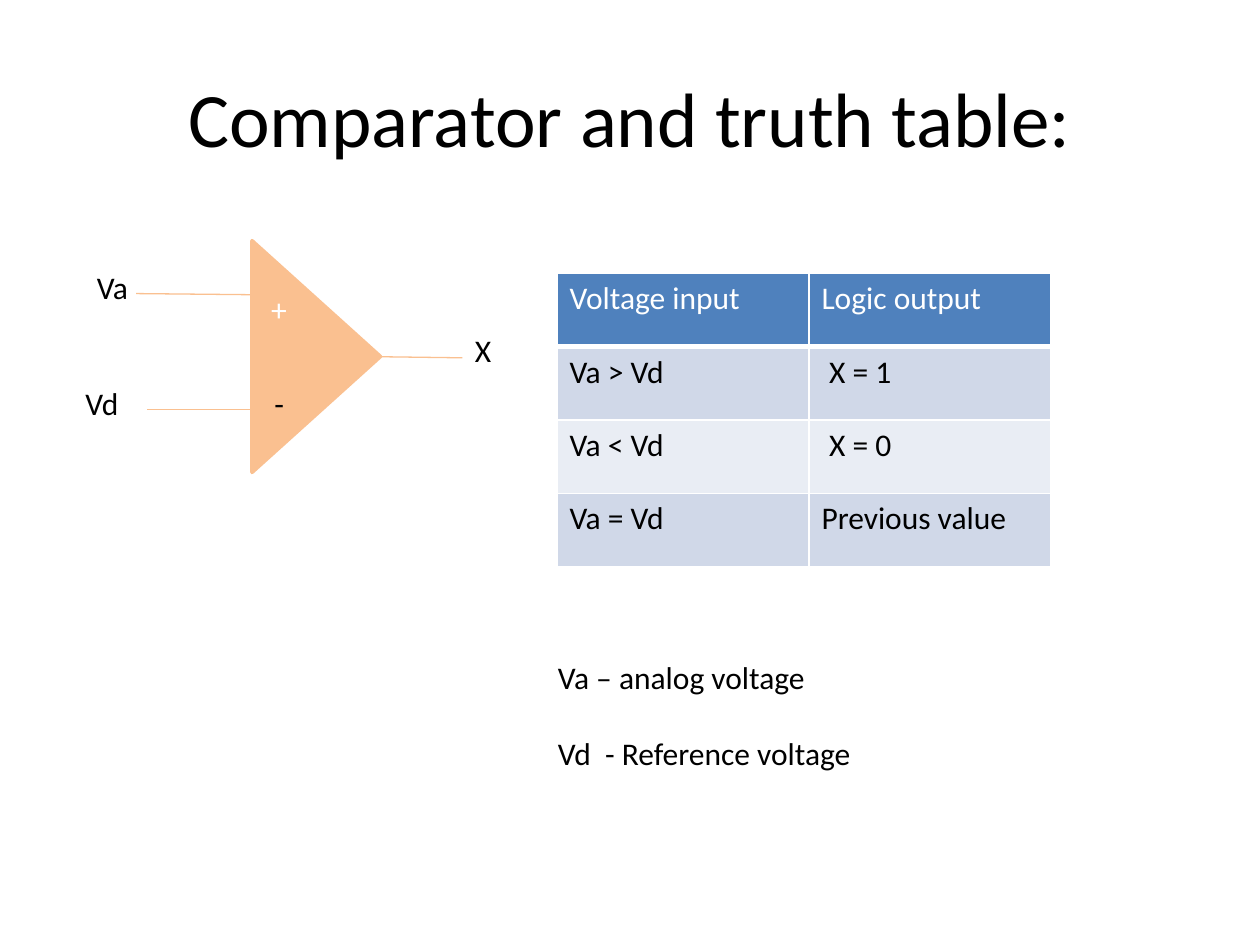
from dataclasses import dataclass

from pptx import Presentation
from pptx.dml.color import RGBColor
from pptx.enum import shapes, text
from pptx.oxml import parse_xml
from pptx.oxml.ns import nsdecls
from pptx.util import Inches, Pt

BLACK = RGBColor(0x00, 0x00, 0x00)
WHITE = RGBColor(0xFF, 0xFF, 0xFF)
PEACH = RGBColor(0xFA, 0xC0, 0x90)
HEADER_BLUE = RGBColor(0x4F, 0x81, 0xBD)
BAND_DARK = RGBColor(0xD0, 0xD8, 0xE8)
BAND_LIGHT = RGBColor(0xE9, 0xED, 0xF4)

BODY_FONT = {"name": "Calibri", "size": Pt(18), "bold": False}
TITLE_FONT = {**BODY_FONT, "size": Pt(44)}


@dataclass
class Label:
    lines: list[str]
    left: float
    top: float
    width: float
    height: float = 0.4
    color: RGBColor = BLACK


@dataclass
class Wire:
    start: tuple[float, float]
    end: tuple[float, float]


LABELS = [
    Label(["Va – analog voltage", "Vd  - Reference voltage"], 4.33, 5.17, 3.25, 0.97),
    Label(["Va"], 0.67, 2.08, 0.5, 0.68),
    Label(["Vd"], 0.58, 3, 0.58),
    Label(["+"], 2.08, 2.25, 0.17, color=WHITE),
    Label(["-"], 2.08, 3, 0.33),
    Label(["X"], 3.67, 2.58, 0.42),
]
WIRES = [
    Wire((1.08, 2.33), (2.08, 2.34)),
    Wire((1.17, 3.25), (2.08, 3.25)),
    Wire((2.92, 2.83), (3.67, 2.84)),
]
TRUTH_TABLE = [
    ("Voltage input", "Logic output"),
    ("Va > Vd", "X = 1"),
    ("Va < Vd", "X = 0"),
    ("Va = Vd", "Previous value"),
]


def format_font(paragraph, settings: dict, color: RGBColor) -> None:
    for key, value in settings.items():
        setattr(paragraph.font, key, value)
    paragraph.font.color.rgb = color


def draw_wire(slide, wire: Wire) -> None:
    points = [Inches(value) for value in wire.start + wire.end]
    connector = slide.shapes.add_connector(shapes.MSO_CONNECTOR.STRAIGHT, *points)
    connector.line.color.rgb = PEACH
    connector.line.width = Pt(0.75)
    connector._element.spPr.append(parse_xml(f"<a:effectLst {nsdecls('a')}/>"))


def draw_label(slide, label: Label) -> None:
    area = (label.left, label.top, label.width, label.height)
    frame = slide.shapes.add_textbox(*map(Inches, area)).text_frame
    frame.word_wrap = True
    frame.auto_size = text.MSO_AUTO_SIZE.SHAPE_TO_FIT_TEXT
    frame.text = "\n".join(label.lines)
    for index, paragraph in enumerate(frame.paragraphs):
        format_font(paragraph, BODY_FONT, label.color)
        if index:
            paragraph.space_before = Pt(22)


def border_cell(cell, bottom: float) -> None:
    properties = cell._tc.get_or_add_tcPr()
    widths = {"lnL": 1, "lnR": 1, "lnT": 1, "lnB": bottom}
    for position, (side, width) in enumerate(widths.items()):
        properties.insert(position, parse_xml(
            f'<a:{side} {nsdecls("a")} w="{Pt(width)}"><a:solidFill>'
            f'<a:srgbClr val="{WHITE}"/></a:solidFill></a:{side}>'))


def draw_truth_table(slide) -> None:
    area = (4.42, 2.17, 3.92, 2.33)
    table = slide.shapes.add_table(len(TRUTH_TABLE), 2, *map(Inches, area)).table
    for column, width in zip(table.columns, (2, 1.92)):
        column.width = Inches(width)
    for row, values in enumerate(TRUTH_TABLE):
        is_header = row == 0
        band = BAND_DARK if row % 2 else BAND_LIGHT
        for column, value in enumerate(values):
            cell = table.cell(row, column)
            cell.text = value
            cell.fill.solid()
            cell.fill.fore_color.rgb = HEADER_BLUE if is_header else band
            if value.startswith("X"):
                cell.margin_left = Inches(0.16)
            border_cell(cell, bottom=3 if is_header else 1)
            format_font(cell.text_frame.paragraphs[0], BODY_FONT,
                        WHITE if is_header else BLACK)


def main() -> None:
    deck = Presentation()
    deck.slide_width, deck.slide_height = Inches(10), Inches(7.5)
    slide = deck.slides.add_slide(deck.slide_layouts[5])

    # Title
    title = slide.shapes.title
    title.left, title.top, title.width, title.height = map(Inches, (0.5, 0.3, 9, 1.25))
    title.text_frame.text = "Comparator and truth table:"
    title.text_frame.vertical_anchor = text.MSO_ANCHOR.MIDDLE
    heading = title.text_frame.paragraphs[0]
    heading.alignment = text.PP_ALIGN.CENTER
    format_font(heading, TITLE_FONT, BLACK)

    # Comparator symbol with its inputs and output
    comparator = slide.shapes.add_shape(
        shapes.MSO_SHAPE.ISOSCELES_TRIANGLE, *map(Inches, (1.59, 2.32, 1.84, 1.02)))
    comparator.rotation = 90
    comparator.shadow.inherit = False
    comparator.fill.solid()
    comparator.fill.fore_color.rgb = PEACH
    comparator.line.color.rgb = PEACH
    comparator.line.width = Pt(2)
    for wire in WIRES:
        draw_wire(slide, wire)

    # Truth table, legend and pin labels
    draw_truth_table(slide)
    for label in LABELS:
        draw_label(slide, label)

    deck.save("out.pptx")


if __name__ == "__main__":
    main()
